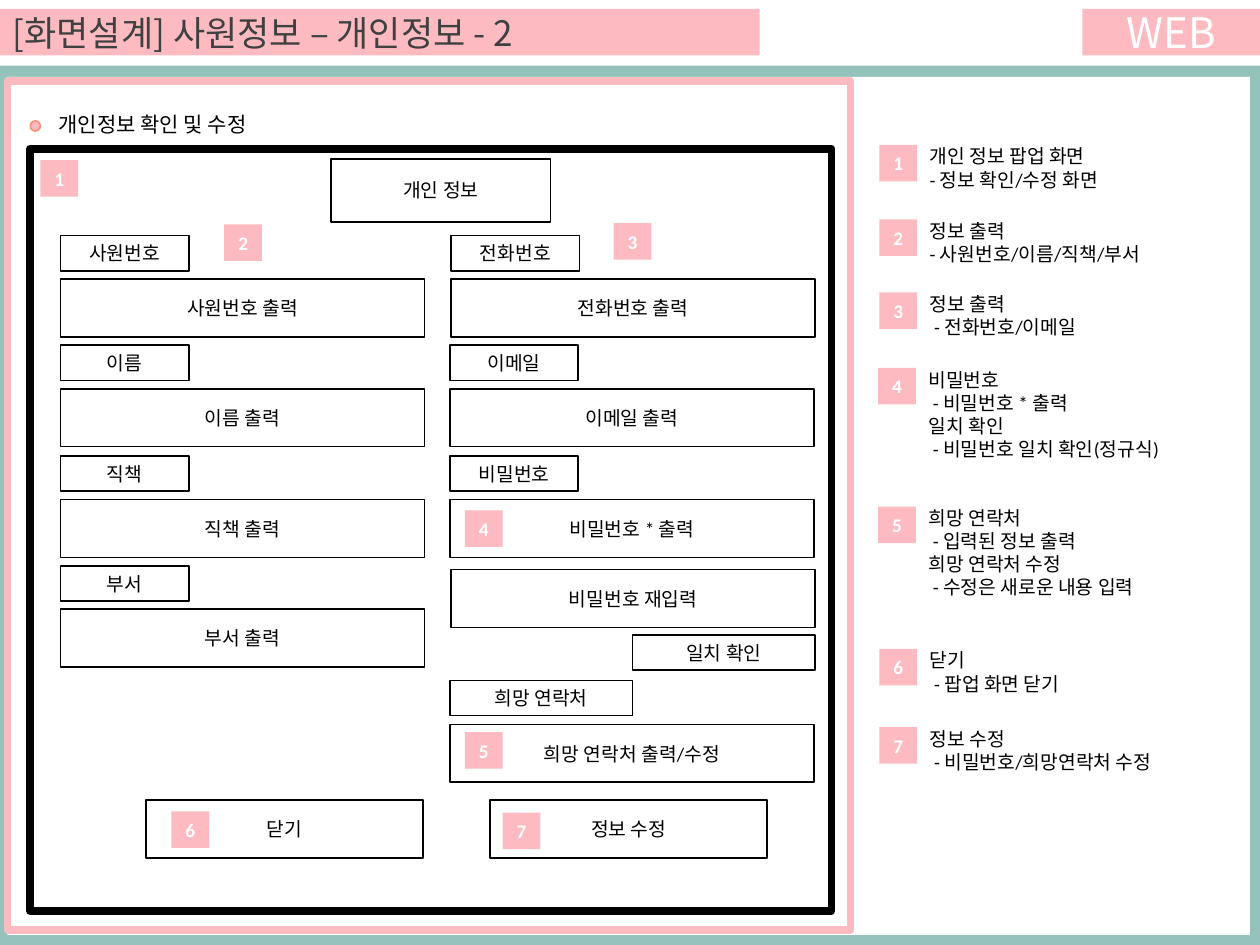
"""Build the personal information screen design slide with its numbered notes."""
from pptx import Presentation
from pptx.dml.color import RGBColor
from pptx.enum.shapes import MSO_SHAPE as SHAPE
from pptx.enum.text import MSO_ANCHOR as ANCHOR, MSO_AUTO_SIZE as AUTO, PP_ALIGN as ALIGN
from pptx.util import Inches, Pt

COLORS = {"teal": "94C3BB", "white": "FFFFFF", "pink": "FDBBC1",
          "coral": "FE907E", "black": "000000", "gray": "404040"}


def write(shape, lines, size=11, color="black", font="Calibri", bold=False,
          align=ALIGN.LEFT, anchor=ANCHOR.MIDDLE):
    frame = shape.text_frame
    frame.auto_size = AUTO.NONE
    frame.word_wrap = True
    frame.vertical_anchor = anchor
    frame.margin_left = frame.margin_right = Inches(0.1)
    frame.margin_top = frame.margin_bottom = Inches(0.05)
    for index, line in enumerate(lines):
        paragraph = frame.add_paragraph() if index else frame.paragraphs[0]
        paragraph.alignment = align
        run = paragraph.add_run()
        run.text = line
        run.font.size = Pt(size)
        run.font.name = font
        run.font.bold = bold
        run.font.color.rgb = RGBColor.from_string(COLORS[color])


def draw(left, top, width, height, fill=None, line=None, weight=1, kind=SHAPE.RECTANGLE):
    shape = slide.shapes.add_shape(kind, Inches(left), Inches(top), Inches(width), Inches(height))
    shape.shadow.inherit = False
    if fill:
        shape.fill.solid()
        shape.fill.fore_color.rgb = RGBColor.from_string(COLORS[fill])
    else:
        shape.fill.background()
    if line:
        shape.line.color.rgb = RGBColor.from_string(COLORS[line])
        shape.line.width = Pt(weight)
    else:
        shape.line.fill.background()
    return shape


prs = Presentation()
prs.slide_width, prs.slide_height = Inches(10), Inches(7.5)
slide = prs.slides.add_slide(prs.slide_layouts[5])

title = slide.shapes.title
title.left, title.top, title.width, title.height = Inches(0), Inches(0.07), Inches(6.03), Inches(0.37)
title.fill.solid()
title.fill.fore_color.rgb = RGBColor.from_string(COLORS["pink"])
write(title, ["[화면설계] 사원정보 – 개인정보 - 2"], 20, "gray", "Noto Sans CJK KR")

draw(0, 0.52, 10, 6.98, "teal")
draw(0.06, 0.61, 9.86, 6.81, "white")
draw(0.06, 0.64, 6.69, 6.74, line="pink", weight=4.5)
draw(0.24, 0.96, 0.08, 0.08, "pink", "coral", kind=SHAPE.OVAL)
heading = slide.shapes.add_textbox(Inches(0.33), Inches(0.84), Inches(3.86), Inches(0.3))
write(heading, [" 개인정보 확인 및 수정"], 12, anchor=ANCHOR.TOP)
platform = draw(8.59, 0.07, 1.41, 0.37, "pink")
write(platform, ["WEB"], 24, "white", "Noto Sans CJK KR", align=ALIGN.CENTER)
draw(0.24, 1.18, 6.36, 6.05, "white", "black", 4.5)

LABEL, WIDE_LABEL, FIELD, BUTTON = (1.02, 0.28), (1.45, 0.28), (2.89, 0.46), (2.2, 0.46)
boxes = [
    ("개인 정보", 2.63, 1.26, (1.74, 0.5)),
    ("비밀번호 재입력", 3.58, 4.52, FIELD),
    ("일치 확인", 5.02, 5.04, WIDE_LABEL),
    ("희망 연락처", 3.57, 5.4, WIDE_LABEL),
    ("희망 연락처 출력/수정", 3.57, 5.75, FIELD),
    ("닫기", 1.16, 6.35, BUTTON),
    ("정보 수정", 3.89, 6.35, BUTTON),
]
pairs = [
    ("사원번호", "사원번호 출력", 0.48, 1.87),
    ("이름", "이름 출력", 0.48, 2.74),
    ("직책", "직책 출력", 0.48, 3.62),
    ("부서", "부서 출력", 0.48, 4.49),
    ("전화번호", "전화번호 출력", 3.58, 1.87),
    ("이메일", "이메일 출력", 3.57, 2.74),
    ("비밀번호", "비밀번호 * 출력", 3.57, 3.62),
]
for label, field, left, top in pairs:
    boxes += [(label, left, top, LABEL), (field, left, top + 0.345, FIELD)]
for caption, left, top, (width, height) in boxes:
    write(draw(left, top, width, height, "white", "black"), [caption], align=ALIGN.CENTER)

notes = [
    (6.98, 1.15, ["개인 정보 팝업 화면", "- 정보 확인/수정 화면"]),
    (6.98, 1.74, ["정보 출력", "- 사원번호/이름/직책/부서"]),
    (6.98, 2.32, ["정보 출력", " - 전화번호/이메일"]),
    (6.97, 2.92, ["비밀번호", " - 비밀번호 * 출력", "일치 확인", " - 비밀번호 일치 확인(정규식)"]),
    (6.97, 4.02, ["희망 연락처", " - 입력된 정보 출력", "희망 연락처 수정", " - 수정은 새로운 내용 입력"]),
    (6.98, 5.15, ["닫기", " - 팝업 화면 닫기"]),
    (6.98, 5.77, ["정보 수정", " - 비밀번호/희망연락처 수정"]),
]
markers = [(0.32, 1.27), (1.78, 1.78), (4.87, 1.77), (3.69, 4.05),
           (3.69, 5.81), (1.36, 6.44), (3.99, 6.45)]
for number, (marker, (left, top, lines)) in enumerate(zip(markers, notes), 1):
    for badge_left, badge_top in (marker, (left, top)):
        badge = draw(badge_left, badge_top, 0.3, 0.29, "pink")
        write(badge, [str(number)], color="white", bold=True, align=ALIGN.CENTER)
    note = slide.shapes.add_textbox(Inches(left + 0.3), Inches(top - 0.05), Inches(2.65),
                                    Inches(0.1 + 0.185 * len(lines)))
    write(note, lines, anchor=ANCHOR.TOP)

prs.save("out.pptx")
